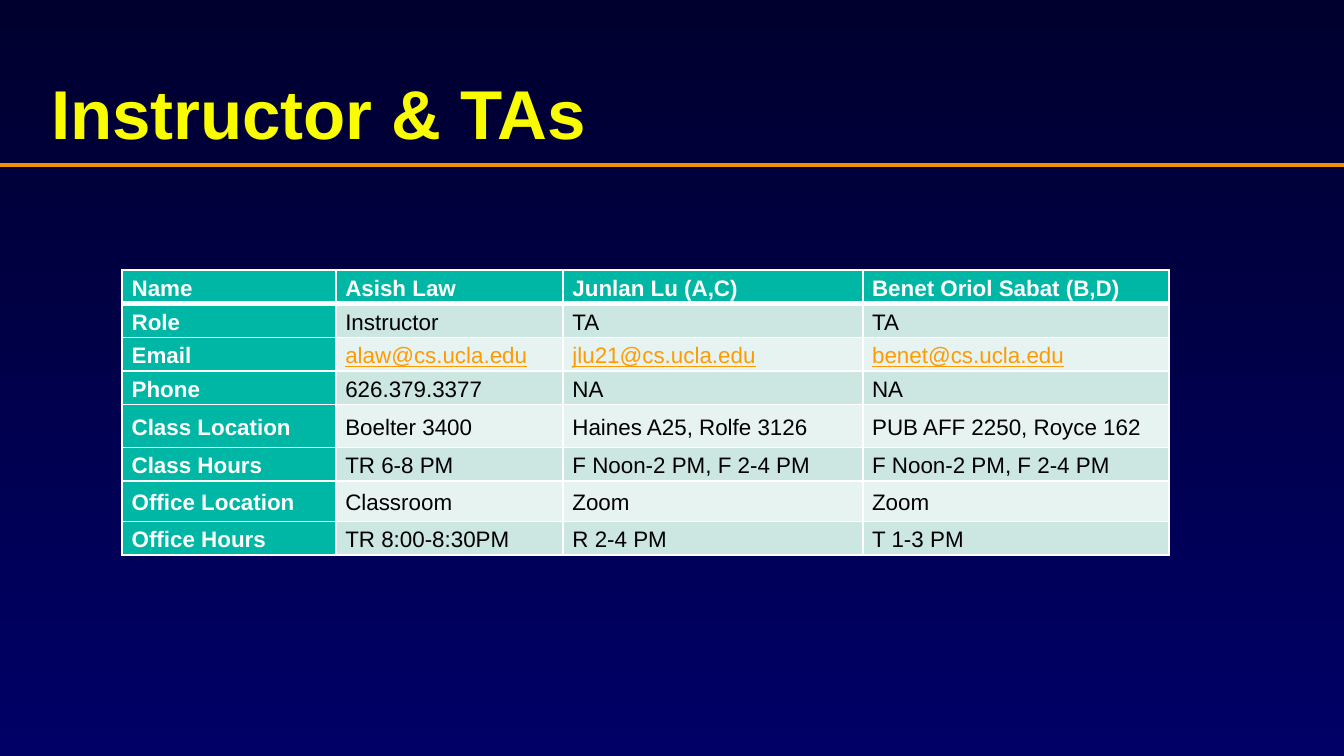
from dataclasses import dataclass

from lxml.etree import SubElement
from pptx import Presentation
from pptx.dml.color import RGBColor
from pptx.enum.shapes import MSO_CONNECTOR as Connector
from pptx.enum.text import MSO_ANCHOR as Anchor
from pptx.enum.text import MSO_AUTO_SIZE as AutoSize
from pptx.enum.text import PP_ALIGN as Align
from pptx.oxml.ns import qn
from pptx.slide import Slide
from pptx.table import _Cell as Cell
from pptx.util import Inches, Pt

NIGHT = RGBColor(0x00, 0x00, 0x2F)
NAVY = RGBColor(0x00, 0x00, 0x66)
YELLOW = RGBColor(0xFA, 0xFD, 0x00)
ORANGE = RGBColor(0xEF, 0x91, 0x00)
LINK = RGBColor(0xFE, 0x9B, 0x03)
TEAL = RGBColor(0x00, 0xB7, 0xA5)
BAND = RGBColor(0xCC, 0xE6, 0xE1)
PALE = RGBColor(0xE7, 0xF3, 0xF0)
WHITE = RGBColor(0xFF, 0xFF, 0xFF)
BLACK = RGBColor(0x00, 0x00, 0x00)
FONT = "Arial"
COLUMN_WIDTHS = (1.59, 1.69, 2.23, 2.28)


@dataclass(frozen=True)
class StaffRow:
    label: str
    values: tuple[str, str, str]
    height: float = 0.25
    linked: bool = False


ROWS = (
    StaffRow("Name", ("Asish Law", "Junlan Lu (A,C)", "Benet Oriol Sabat (B,D)")),
    StaffRow("Role", ("Instructor", "TA", "TA")),
    StaffRow("Email", ("alaw@cs.ucla.edu", "jlu21@cs.ucla.edu", "benet@cs.ucla.edu"), linked=True),
    StaffRow("Phone", ("626.379.3377", "NA", "NA")),
    StaffRow("Class Location", ("Boelter 3400", "Haines A25, Rolfe 3126", "PUB AFF 2250, Royce 162"), 0.32),
    StaffRow("Class Hours", ("TR 6-8 PM", "F Noon-2 PM, F 2-4 PM", "F Noon-2 PM, F 2-4 PM")),
    StaffRow("Office Location", ("Classroom", "Zoom", "Zoom"), 0.3),
    StaffRow("Office Hours", ("TR 8:00-8:30PM", "R 2-4 PM", "T 1-3 PM")),
)


def paint_background(page: Slide) -> None:
    fill = page.background.fill
    fill.gradient()
    fill.gradient_angle = 270
    for stop, color in zip(fill.gradient_stops, (NIGHT, NAVY)):
        stop.color.rgb = color


def draw_rule(page: Slide) -> None:
    rule = page.shapes.add_connector(
        Connector.STRAIGHT, Inches(0), Inches(1.23), Inches(10), Inches(1.23)
    )
    rule.line.color.rgb = ORANGE
    rule.line.width = Pt(2)
    SubElement(rule._element.spPr, qn("a:effectLst"))


def write_title(page: Slide, text: str) -> None:
    title = page.shapes.title
    title.left, title.top = Inches(0.28), Inches(0.25)
    title.width, title.height = Inches(9.38), Inches(0.94)
    frame = title.text_frame
    frame.text = text
    frame.auto_size = AutoSize.NONE
    frame.word_wrap = True
    frame.vertical_anchor = Anchor.BOTTOM
    para = frame.paragraphs[0]
    para.alignment = Align.LEFT
    para.line_spacing = 1.04
    para.font.name, para.font.size, para.font.bold = FONT, Pt(37), True
    para.font.color.rgb = YELLOW


def set_borders(cell: Cell, top: float, bottom: float) -> None:
    properties = cell._tc.get_or_add_tcPr()
    for side, width in (("L", 1), ("R", 1), ("T", top), ("B", bottom)):
        line = SubElement(properties, qn(f"a:ln{side}"), w=str(Pt(width)))
        fill = SubElement(line, qn("a:solidFill"))
        SubElement(fill, qn("a:srgbClr"), val=str(WHITE))


def write_cell(cell: Cell, text: str, fill: RGBColor, color: RGBColor, bold: bool, linked: bool) -> None:
    cell.fill.solid()
    cell.fill.fore_color.rgb = fill
    cell.vertical_anchor = Anchor.MIDDLE
    cell.margin_left = cell.margin_right = Inches(0.07)
    cell.margin_top = cell.margin_bottom = Inches(0)
    cell.text = text
    para = cell.text_frame.paragraphs[0]
    para.line_spacing = 1.15
    para.font.name, para.font.size, para.font.bold = FONT, Pt(12), bold
    para.font.color.rgb = color
    if linked:
        para.font.underline = True


def draw_staff_table(page: Slide) -> None:
    table = page.shapes.add_table(
        len(ROWS), len(COLUMN_WIDTHS), Inches(0.91), Inches(2.01),
        Inches(sum(COLUMN_WIDTHS)), Inches(sum(row.height for row in ROWS)),
    ).table
    for column, width in zip(table.columns, COLUMN_WIDTHS):
        column.width = Inches(width)
    for i, row in enumerate(ROWS):
        table.rows[i].height = Inches(row.height)
        for j, text in enumerate((row.label, *row.values)):
            cell = table.cell(i, j)
            set_borders(cell, top=3 if i == 1 else 1, bottom=3 if i == 0 else 1)
            heading = i == 0 or j == 0
            linked = row.linked and not heading
            if heading:
                fill, color = TEAL, WHITE
            else:
                fill = BAND if i % 2 else PALE
                color = LINK if linked else BLACK
            write_cell(cell, text, fill, color, heading, linked)


def main() -> None:
    deck = Presentation()
    deck.slide_width = Inches(10)
    deck.slide_height = deck.slide_width * 9 // 16
    page = deck.slides.add_slide(deck.slide_layouts[5])
    paint_background(page)
    draw_rule(page)
    write_title(page, "Instructor & TAs")
    draw_staff_table(page)
    deck.save("out.pptx")


if __name__ == "__main__":
    main()
